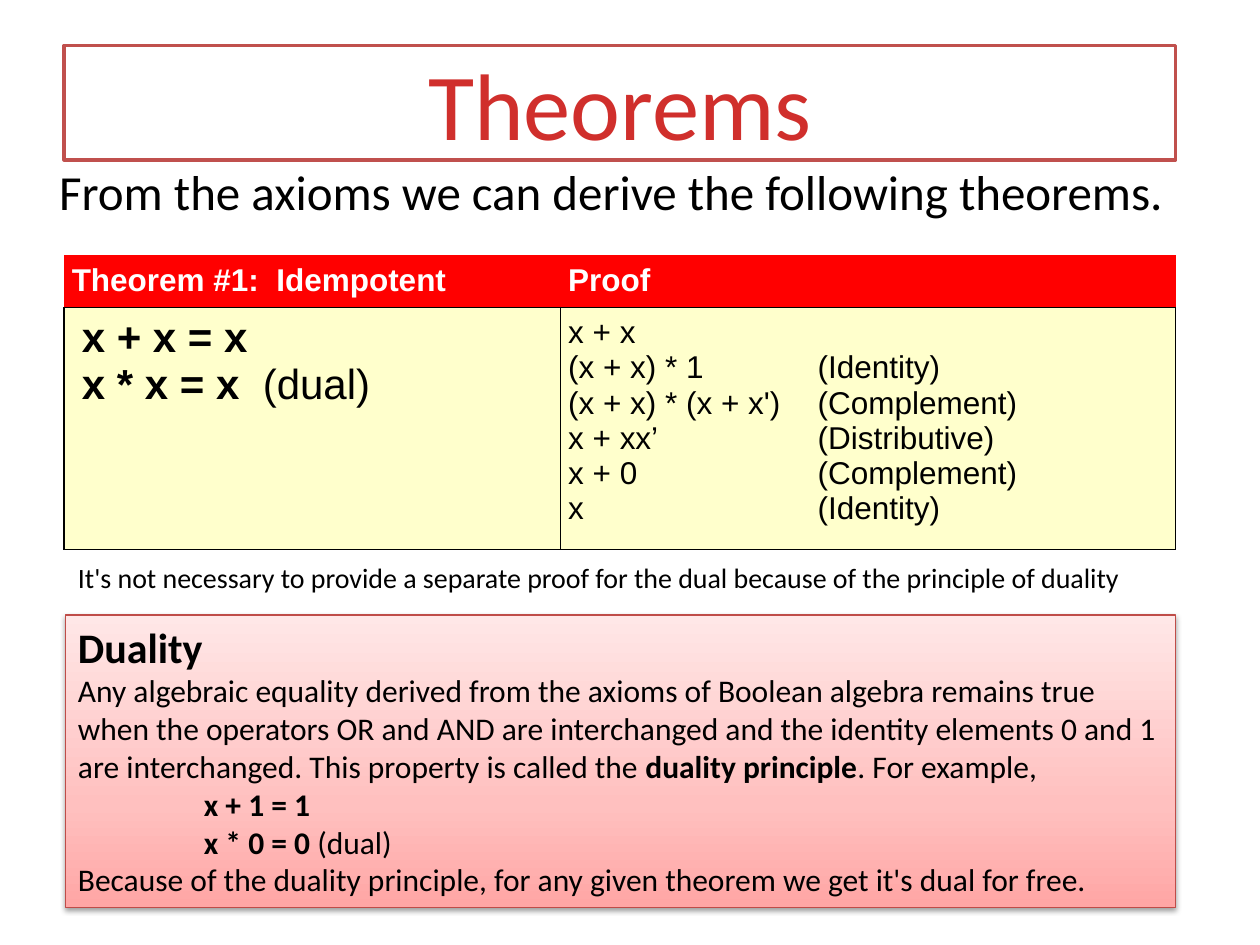
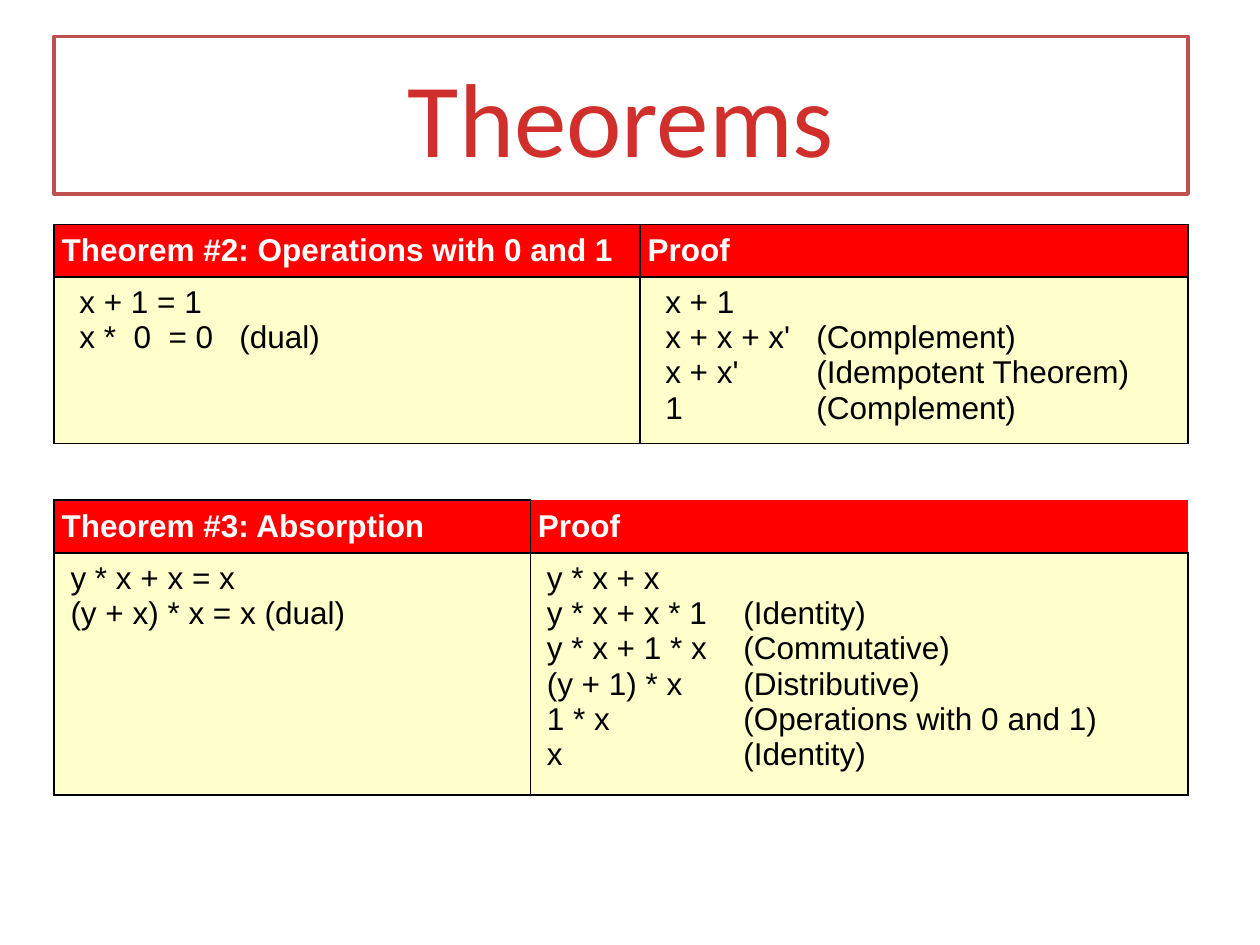
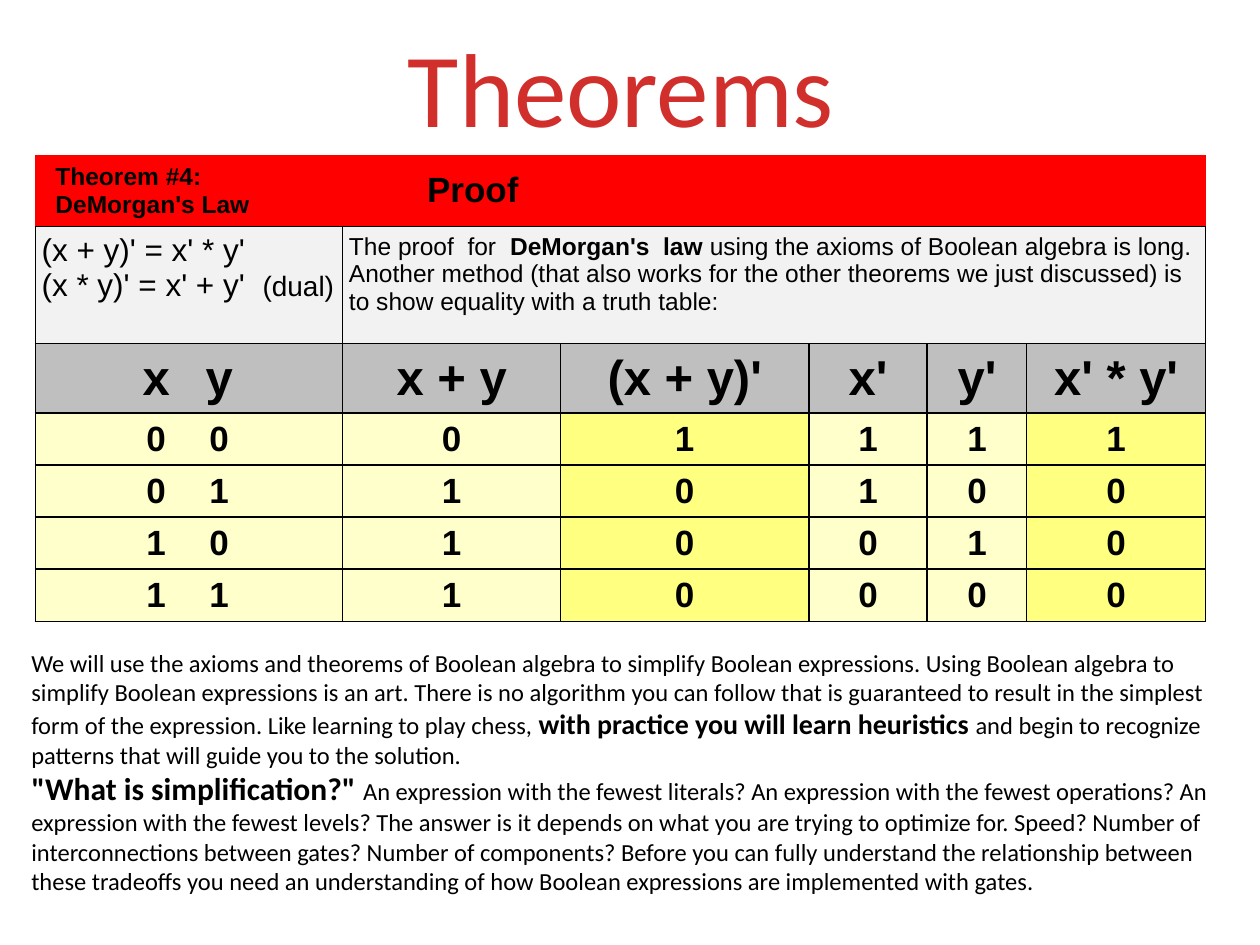
from lxml import etree
from pptx import Presentation
from pptx import util as u
from pptx.dml import color
from pptx.enum import shapes, text
from pptx.oxml import ns

RED, TITLE_RED, TITLE_LINE = "FF0000", "D02F2C", "C0504D"
PANEL_LINE = "BF4C48"
PANEL_STOPS = [(0, "FFA6A5"), (35, "FFC0BF"), (100, "FFE7E7")]
CREAM, YELLOW, PALE, GREY = "FFFFCC", "FFFF80", "F2F2F2", "BFBFBF"
BLACK, WHITE = "000000", "FFFFFF"
BODY_FONT, TABLE_FONT = "Calibri", "Arial"
CENTER, MIDDLE = text.PP_ALIGN.CENTER, text.MSO_ANCHOR.MIDDLE
BOLD = {"bold": True}

prs = Presentation()
prs.slide_width, prs.slide_height = u.Inches(10), u.Inches(7.5)


def rgb(value):
    """Turn a hex string into a colour."""
    return color.RGBColor.from_string(value)


def sub(parent, tag, **attrs):
    """Append a DrawingML element and return it."""
    el = etree.SubElement(parent, ns.qn("a:" + tag))
    for name, value in attrs.items():
        el.set(name, str(value))
    return el


def add_color(parent, value):
    """Append a hex colour element and return it."""
    return sub(parent, "srgbClr", val=value)


def write(p, content, size=18, font=BODY_FONT, hue=BLACK, bold=False,
          align=None, before=None, indent=0, tabs=()):
    """Fill a paragraph with a string or (string, overrides) runs; \\n breaks a line.

    Tabs are (alignment, inches) pairs.
    """
    if align is not None:
        p.alignment = align
    if before is not None:
        p.space_before = u.Pt(before)
    p_pr = p._p.get_or_add_pPr()
    if indent:
        p_pr.set("marL", str(u.Inches(indent)))
    if tabs:
        stops = sub(p_pr, "tabLst")
        for kind, pos in tabs:
            sub(stops, "tab", pos=u.Inches(pos), algn=kind)
    runs = [(content, {})] if isinstance(content, str) else content
    for words, own in runs:
        for i, line in enumerate(words.split("\n")):
            if i:
                p.add_line_break()
            if line:
                r = p.add_run()
                r.text = line
                r.font.name = font
                r.font.size = u.Pt(own.get("size", size))
                r.font.bold = own.get("bold", bold)
                r.font.color.rgb = rgb(hue)


def write_all(tf, paras, **fmt):
    """Write (content, overrides) paragraphs into a text frame."""
    tf.word_wrap = True
    for i, (content, own) in enumerate(paras):
        p = tf.add_paragraph() if i else tf.paragraphs[0]
        write(p, content, **{**fmt, **own})


def add_box(slide, box, paras, fill=None, line=None, line_width=1, **fmt):
    """Place text in a rectangle if it has a line, else in a text box."""
    place = [u.Inches(v) for v in box]
    if line:
        sp = slide.shapes.add_shape(shapes.MSO_SHAPE.RECTANGLE, *place)
        sp.shadow.inherit = False
        sp.line.color.rgb, sp.line.width = rgb(line), u.Pt(line_width)
        if fill:
            sp.fill.solid()
            sp.fill.fore_color.rgb = rgb(fill)
    else:
        sp = slide.shapes.add_textbox(*place)
    sp.text_frame.vertical_anchor = text.MSO_ANCHOR.TOP
    write_all(sp.text_frame, paras, **{"align": text.PP_ALIGN.LEFT, **fmt})
    return sp


def add_title(slide, box, size=60, framed=True):
    """Place the shared slide title, with or without its frame."""
    frame = {"fill": WHITE, "line": TITLE_LINE, "line_width": 2} if framed else {}
    sp = add_box(slide, box, [("Theorems", {})], size=size, hue=TITLE_RED,
                 align=CENTER, **frame)
    sp.text_frame.vertical_anchor = MIDDLE


def add_panel(slide, box, paras):
    """Place text on a red gradient panel with a soft shadow."""
    sp = add_box(slide, box, paras, line=PANEL_LINE, line_width=0.75)
    sp.fill.gradient()
    sp.fill.gradient_angle = 90
    sp_pr = sp._element.spPr
    stops = sp_pr.find(".//" + ns.qn("a:gsLst"))
    stops.clear()
    for pos, value in PANEL_STOPS:
        add_color(sub(stops, "gs", pos=pos * 1000), value)
    shade = sub(sp_pr.find(ns.qn("a:effectLst")), "outerShdw", blurRad=u.Pt(3.1),
                dist=u.Pt(1.6), dir=5400000, rotWithShape=0)
    sub(add_color(shade, BLACK), "alpha", val=38000)


def add_grid(slide, left, top, cols, rows):
    """Place an unstyled table with the given column and row sizes."""
    frame = slide.shapes.add_table(len(rows), len(cols), u.Inches(left), u.Inches(top),
                                   u.Inches(sum(cols)), u.Inches(sum(rows)))
    table = frame.table
    table.first_row = table.horz_banding = False
    for col, width in zip(table.columns, cols):
        col.width = u.Inches(width)
    for row, height in zip(table.rows, rows):
        row.height = u.Inches(height)
    return table


def style_cell(cell, fill, borders="LRTB"):
    """Give a cell its fill and the named black borders."""
    tc_pr = cell._tc.get_or_add_tcPr()
    for side in "LRTB":
        ln = sub(tc_pr, "ln" + side, w=u.Pt(1))
        if side in borders:
            add_color(sub(ln, "solidFill"), BLACK)
        else:
            sub(ln, "noFill")
    cell.fill.solid()
    cell.fill.fore_color.rgb = rgb(fill)


def fill_cell(cell, paras, margins, anchor=text.MSO_ANCHOR.TOP, **fmt):
    """Write a cell's text with (left, top, right, bottom) margins."""
    (cell.margin_left, cell.margin_top,
     cell.margin_right, cell.margin_bottom) = [u.Inches(m) for m in margins]
    cell.vertical_anchor = anchor
    write_all(cell.text_frame, paras, font=TABLE_FONT, **fmt)


def add_theorem(slide, left, top, cols, body_height, name, law, proof, insets,
                head_borders, law_tab=None, proof_tab=1):
    """Place a theorem and its proof side by side under red headings."""
    table = add_grid(slide, left, top, cols, [0.4, body_height])
    pad = 0.06
    columns = zip([name, "Proof"], [law, proof], insets, head_borders, [law_tab, proof_tab])
    for c, (head, body, inset, borders, tab) in enumerate(columns):
        style_cell(table.cell(0, c), RED, borders)
        fill_cell(table.cell(0, c), [(head, {})], [pad] * 4, MIDDLE, hue=WHITE, bold=True)
        style_cell(table.cell(1, c), CREAM)
        fill_cell(table.cell(1, c), [(body, {})], [inset, pad, pad, pad],
                  tabs=[("l", tab)] if tab else ())


def add_truth_table(slide, left, top):
    """Place De Morgan's law with the truth table that proves it."""
    table = add_grid(slide, left, top, [2.44, 1.73, 1.97, 0.94, 0.79, 1.42],
                     [0.53, 0.93, 0.55] + [0.39] * 4)
    pad = 0.05
    for c in range(6):
        style_cell(table.cell(0, c), RED, "B")
        style_cell(table.cell(1, c), PALE)
    for r in (0, 1):
        table.cell(r, 1).merge(table.cell(r, 5))
    fill_cell(table.cell(0, 0), [("Theorem #4:", {}), ("DeMorgan's Law", {})],
              [0.16, pad, pad, pad], MIDDLE, size=14, bold=True)
    fill_cell(table.cell(0, 1), [("Proof", {})], [0.67, pad, pad, pad], MIDDLE,
              size=20, bold=True)
    fill_cell(table.cell(1, 0), [([("(x + y)' = x' * y'\n(x * y)' = x' + y'  ", {}),
                                   ("(dual)", {"size": 16})], {})], [pad] * 4)
    fill_cell(table.cell(1, 1), [([
        ("The proof  for  ", {}), ("DeMorgan's  law ", BOLD),
        ("using the axioms of Boolean algebra is long. Another method (that also works "
         "for the other theorems we just discussed) is to show equality with a truth "
         "table:", {})], {})], [pad] * 4, size=14)

    rows = [["x + y", "(x + y)'", "x'", "y'", "x' * y'"]]
    inputs = ["\tx\ty"]
    for x in (0, 1):
        for y in (0, 1):
            either = x | y
            inputs.append(f"\t{x}\t{y}")
            rows.append([str(v) for v in (either, 1 - either, 1 - x, 1 - y,
                                          (1 - x) * (1 - y))])
    for r, (pair, values) in enumerate(zip(inputs, rows)):
        for c, value in enumerate([pair] + values):
            cell = table.cell(r + 2, c)
            style_cell(cell, GREY if r == 0 else YELLOW if c in (2, 5) else CREAM)
            layout = {"align": CENTER} if c else {"tabs": [("ctr", 0.88), ("ctr", 1.38)]}
            fill_cell(cell, [(value, {})], [0.08, 0.04, 0.08, 0.04], MIDDLE,
                      size=20 if r else 28, bold=True, **layout)


def idempotent_slide(slide):
    """Build the first theorem and the duality principle."""
    add_title(slide, (0.51, 0.36, 8.82, 0.91), size=54)
    intro = add_box(slide, (0.28, 1.23, 9.24, 0.7),
                    [("From the axioms we can derive the following theorems.", {})],
                    size=28, before=5.6)
    intro.text_frame.margin_left = u.Inches(0.19)
    add_theorem(slide, 0.51, 2.02, [3.94, 4.88], 1.8, "Theorem #1:  Idempotent",
                [("x + x = x\nx * x = x  ", {"size": 24, "bold": True}),
                 ("(dual)", {"size": 24})],
                "x + x\n(x + x) * 1\t(Identity)\n(x + x) * (x + x')\t(Complement)\n"
                "x + xx’\t(Distributive)\nx + 0\t(Complement)\nx\t(Identity)",
                insets=[0.14, 0.06], head_borders=["B", "B"], proof_tab=1.98)
    add_box(slide, (0.52, 4.4, 8.98, 0.37),
            [("It's not necessary to provide a separate proof for the dual because of "
              "the principle of duality", {})], size=16)
    add_panel(slide, (0.52, 4.88, 8.81, 2.32), [
        ("Duality", {"size": 24, "bold": True}),
        ([("Any algebraic equality derived from the axioms of Boolean algebra remains "
           "true when the operators OR and AND are interchanged and the identity "
           "elements 0 and 1 are interchanged. This property is called the ", {}),
          ("duality principle", BOLD), (". For example,", {})], {}),
        ([("x + 1 = 1\nx * 0 = 0", BOLD), (" (dual)", {})], {"indent": 1}),
        ("Because of the duality principle, for any given theorem we get it's dual "
         "for free.", {})])


def operations_slide(slide):
    """Build the second and third theorems."""
    add_title(slide, (0.43, 0.29, 9, 1.25))
    add_theorem(slide, 0.43, 1.78, [4.65, 4.35], 1.25,
                "Theorem #2: Operations with 0 and 1",
                "x + 1 = 1\nx *  0  = 0\t(dual)",
                "x + 1\nx + x + x'\t(Complement)\nx + x'\t(Idempotent Theorem)\n"
                "1\t(Complement)",
                insets=[0.2, 0.2], head_borders=["LRTB", "LRTB"],
                law_tab=1.27, proof_tab=1.2)
    add_theorem(slide, 0.43, 3.97, [3.78, 5.22], 1.8, "Theorem #3: Absorption",
                "y * x + x = x\n(y + x) * x = x (dual)",
                "y * x + x\ny * x + x * 1\t(Identity)\ny * x + 1 * x\t(Commutative)\n"
                "(y + 1) * x\t(Distributive)\n1 * x\t(Operations with 0 and 1)\n"
                "x\t(Identity)",
                insets=[0.13, 0.13], head_borders=["LRTB", "LB"], proof_tab=1.56)


def de_morgan_slide(slide):
    """Build De Morgan's law and the notes on simplification."""
    add_title(slide, (0.43, 0.05, 9, 1.25), framed=False)
    add_truth_table(slide, 0.28, 1.23)
    add_box(slide, (0.15, 5.09, 9.69, 2.09), [
        ([("We will use the axioms and theorems of Boolean algebra to simplify Boolean "
           "expressions. Using Boolean algebra to simplify Boolean expressions is an "
           "art. There is no algorithm you can follow that is guaranteed to result in "
           "the simplest form of the expression. Like learning to play chess, ", {}),
          ("with practice you will learn heuristics ", {"size": 16, "bold": True}),
          ("and begin to recognize patterns that will guide you to the solution.", {})], {}),
        ([("\"What is simplification?\" ", {"size": 18, "bold": True}),
          ("An expression with the fewest literals? An expression with the fewest "
           "operations? An expression with the fewest levels? The answer is it depends "
           "on what you are trying to optimize for. Speed? Number of interconnections "
           "between gates? Number of components? Before you can fully understand the "
           "relationship between these tradeoffs you need an understanding of how "
           "Boolean expressions are implemented with gates.", {})], {})], size=14)


for build in (idempotent_slide, operations_slide, de_morgan_slide):
    build(prs.slides.add_slide(prs.slide_layouts[6]))
prs.save("out.pptx")
